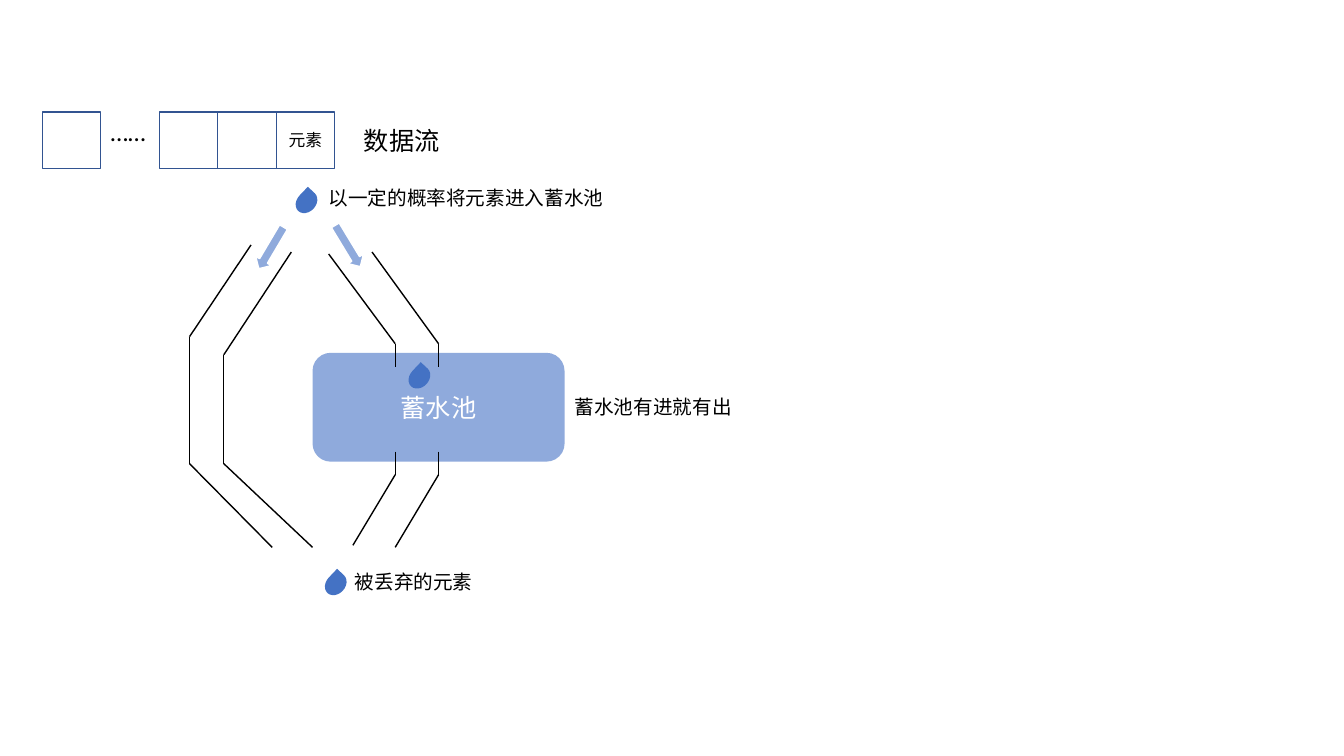
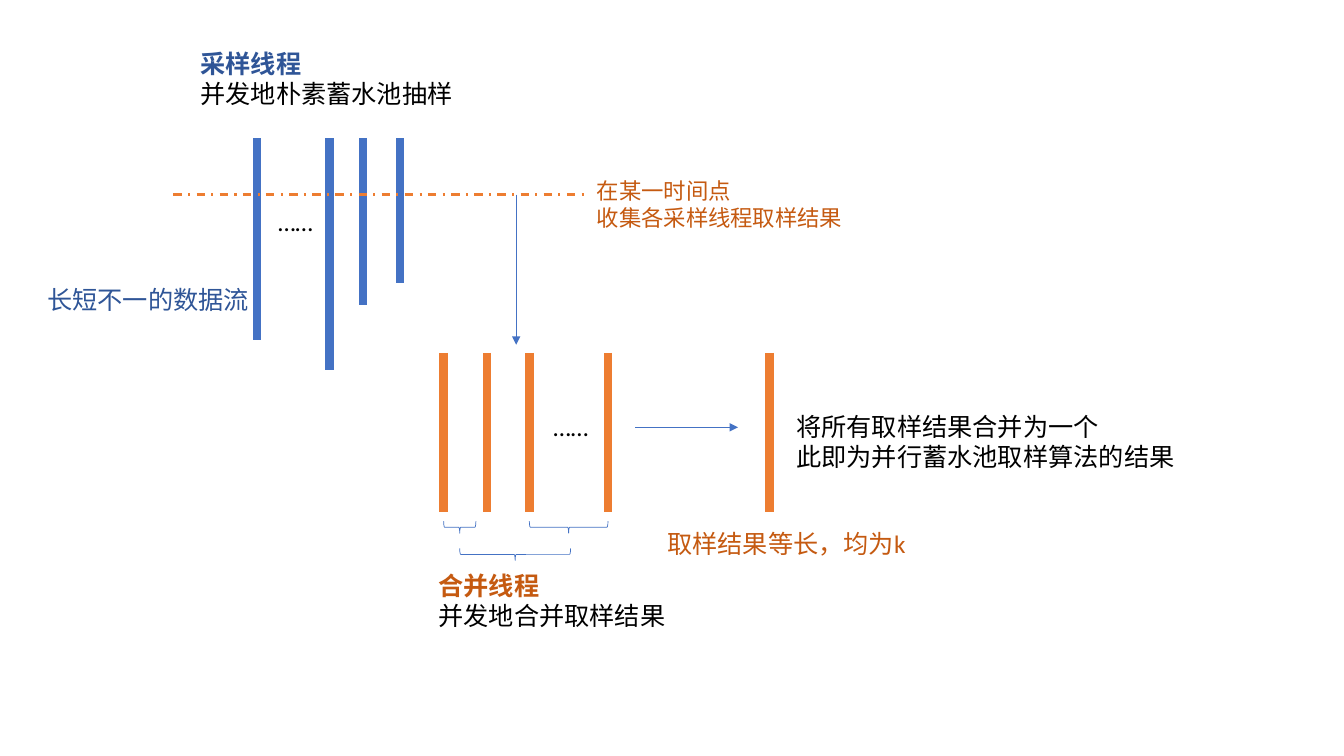
from dataclasses import dataclass
from itertools import pairwise

from lxml.etree import SubElement
from pptx import Presentation
from pptx.dml.color import RGBColor
from pptx.enum.dml import MSO_LINE_DASH_STYLE as Dash
from pptx.enum.shapes import MSO_CONNECTOR as Connector, MSO_SHAPE as Shape
from pptx.enum.text import MSO_ANCHOR as Anchor, MSO_AUTO_SIZE as AutoSize, PP_ALIGN as Align
from pptx.oxml.ns import qn
from pptx.util import Inches, Pt


@dataclass(frozen=True)
class Theme:
    font: str = "Calibri"
    black: str = "000000"
    white: str = "FFFFFF"
    blue: str = "4472C4"
    pale_blue: str = "8FAADC"
    cell_edge: str = "325491"
    dark_blue: str = "2F5597"
    orange: str = "ED7D31"
    dark_orange: str = "C55A11"
    heading: int = 18
    note: int = 16
    label: int = 14
    cell: int = 12
    bar: float = 6
    dashed: float = 1.5
    wall: float = 1
    thin: float = 0.5


@dataclass(frozen=True)
class Box:
    left: float
    top: float
    width: float
    height: float

    def inner(self, dx, dy, width, height):
        return Box(self.left + dx, self.top + dy, width, height)

    def point(self, dx, dy):
        return self.left + dx, self.top + dy

    def lengths(self):
        return [Inches(side) for side in (self.left, self.top, self.width, self.height)]


THEME = Theme()


# Shared parts
def write(frame, lines, size, color, align=Align.LEFT, heading_color=None):
    for index, line in enumerate(lines):
        paragraph = frame.add_paragraph() if index else frame.paragraphs[0]
        paragraph.text = line
        paragraph.alignment = align
        is_heading = heading_color is not None and index == 0
        font = paragraph.font
        font.name = THEME.font
        font.size = Pt(size)
        font.bold = is_heading
        font.color.rgb = RGBColor.from_string(heading_color if is_heading else color)


def add_text(slide, box, *lines, size=THEME.heading, color=THEME.black, heading_color=None):
    frame = slide.shapes.add_textbox(*box.lengths()).text_frame
    frame.word_wrap = True
    frame.auto_size = AutoSize.SHAPE_TO_FIT_TEXT
    write(frame, lines, size, color, heading_color=heading_color)


def add_figure(slide, kind, box, fill=None, edge=None, weight=THEME.wall, turn=0):
    figure = slide.shapes.add_shape(kind, *box.lengths())
    figure.shadow.inherit = False
    figure.rotation = turn
    for part, color in ((figure.fill, fill), (figure.line.fill, edge)):
        if color:
            part.solid()
            part.fore_color.rgb = RGBColor.from_string(color)
        else:
            part.background()
    if edge:
        figure.line.width = Pt(weight)
    return figure


def add_line(slide, start, end, color, weight, dash=None, arrow=False):
    ends = [Inches(length) for length in (*start, *end)]
    connector = slide.shapes.add_connector(Connector.STRAIGHT, *ends)
    line = connector.line
    line.color.rgb = RGBColor.from_string(color)
    line.width = Pt(weight)
    if dash:
        line.dash_style = dash
    properties = connector.element.spPr
    if arrow:
        SubElement(properties.find(qn("a:ln")), qn("a:tailEnd"), type="triangle")
    SubElement(properties, qn("a:effectLst"))


def add_bars(slide, box, bars, color):
    for dx, length in bars:
        add_line(slide, box.point(dx, 0), box.point(dx, length), color, THEME.bar)


def add_drop(slide, box, dx, dy):
    add_figure(slide, Shape.TEAR, box.inner(dx, dy, 0.24, 0.19), THEME.blue, turn=313.3)


# Reservoir slide
def data_stream(slide, box):
    side = 0.58
    for column, text in ((0, ""), (2, ""), (3, ""), (4, "元素")):
        cell = add_figure(slide, Shape.RECTANGLE, box.inner(column * side, 0, side, box.height),
                          THEME.white, THEME.cell_edge)
        if text:
            cell.text_frame.vertical_anchor = Anchor.MIDDLE
            write(cell.text_frame, [text], THEME.cell, THEME.black, Align.CENTER)
    add_text(slide, box.inner(side, 0, 0.73, 0.4), "……")
    add_text(slide, box.inner(3.09, 0.08, 1.15, 0.4), "数据流")


def entry_choice(slide, box):
    add_drop(slide, box, 0.32, 0.11)
    for dx, dy, turn in ((0, 0.42, 30.6), (0.76, 0.4, 328.8)):
        add_figure(slide, Shape.DOWN_ARROW, box.inner(dx, dy, 0.18, 0.48),
                   THEME.pale_blue, THEME.white, turn=turn)
    add_text(slide, box.inner(0.56, 0, 3.81, 0.34), "以一定的概率将元素进入蓄水池", size=THEME.label)


def reservoir(slide, box):
    pool = add_figure(slide, Shape.ROUNDED_RECTANGLE, box, THEME.pale_blue)
    pool.text_frame.vertical_anchor = Anchor.MIDDLE
    write(pool.text_frame, ["蓄水池"], THEME.heading, THEME.white, Align.CENTER)
    add_drop(slide, box, 0.94, 0.15)
    add_text(slide, box.inner(box.width, 0.37, 2.31, 0.34), "蓄水池有进就有出", size=THEME.label)


def pipes(slide, box):
    walls = (
        # Bypass
        ((0.61, 0), (0, 0.91), (0, 2.17), (0.82, 3)),
        ((1.01, 0.07), (0.34, 1.09), (0.34, 2.17), (1.22, 3)),
        # Inlet
        ((1.38, 0.09), (2.04, 0.98), (2.04, 1.21)),
        ((1.81, 0.07), (2.47, 0.98), (2.47, 1.21)),
        # Outlet
        ((2.04, 2.05), (2.04, 2.28), (1.62, 2.98)),
        ((2.47, 2.05), (2.47, 2.28), (2.04, 3)),
    )
    for wall in walls:
        for start, end in pairwise(wall):
            add_line(slide, box.point(*start), box.point(*end), THEME.black, THEME.wall)


def discarded(slide, box):
    add_drop(slide, box, 0, 0.09)
    add_text(slide, box.inner(0.21, 0, 2.18, 0.34), "被丢弃的元素", size=THEME.label)


def reservoir_slide(slide):
    data_stream(slide, Box(0.42, 1.11, 4.24, 0.56))
    entry_choice(slide, Box(2.6, 1.8, 4.37, 0.9))
    reservoir(slide, Box(3.1, 3.5, 2.5, 1.08))
    pipes(slide, Box(1.88, 2.43, 2.47, 3))
    discarded(slide, Box(3.21, 5.61, 2.39, 0.34))


# Parallel sampling slide
def sampling_threads(slide, box):
    add_text(slide, box.inner(1.52, 0, 3.77, 0.71), "采样线程", "并发地朴素蓄水池抽样",
             heading_color=THEME.dark_blue)
    streams = ((2.18, 2), (2.9, 2.3), (3.23, 1.66), (3.6, 1.44))
    add_bars(slide, box.inner(0, 0.94, box.width, 2.3), streams, THEME.blue)
    add_text(slide, box.inner(2.29, 1.57, 0.92, 0.31), "……")
    add_text(slide, box.inner(0, 2.34, 2.55, 0.4), "长短不一的数据流", color=THEME.dark_blue)


def collection_moment(slide, box):
    dash_y = 0.22
    add_line(slide, box.point(0, dash_y), box.point(4.1, dash_y), THEME.orange,
             THEME.dashed, Dash.DASH_DOT)
    add_line(slide, box.point(3.4, dash_y), box.point(3.4, box.height), THEME.blue,
             THEME.thin, arrow=True)
    add_text(slide, box.inner(4.1, 0, 2.75, 0.64), "在某一时间点\v收集各采样线程取样结果",
             size=THEME.note, color=THEME.dark_orange)


def merging_threads(slide, box):
    samples = [(dx, 1.58) for dx in (0.15, 0.58, 1, 1.78)]
    add_bars(slide, box, samples, THEME.orange)
    add_text(slide, box.inner(1.14, 0.53, 1.39, 0.4), "……")
    depth = 0.12
    for center_x, center_y, span in ((0.31, 1.73, 0.32), (1.39, 1.73, 0.78), (0.86, 2, 1.1)):
        brace = box.inner(center_x - depth / 2, center_y - span / 2, depth, span)
        add_figure(slide, Shape.LEFT_BRACE, brace, edge=THEME.blue, weight=THEME.thin, turn=270)
    add_text(slide, box.inner(0, 2.11, 2.82, 0.71), "合并线程", "并发地合并取样结果",
             heading_color=THEME.dark_orange)


def merged_result(slide, box):
    add_line(slide, box.point(0, 0.74), box.point(1.02, 0.74), THEME.blue,
             THEME.thin, arrow=True)
    add_bars(slide, box, [(1.33, 1.58)], THEME.orange)
    add_text(slide, box.inner(1.5, 0.53, 4.2, 0.71), "将所有取样结果合并为一个",
             "此即为并行蓄水池取样算法的结果")
    add_text(slide, box.inner(0.22, 1.69, 2.59, 0.4), "取样结果等长，均为k",
             color=THEME.dark_orange)


def parallel_slide(slide):
    sampling_threads(slide, Box(0.37, 0.43, 5.29, 3.24))
    collection_moment(slide, Box(1.72, 1.71, 6.85, 1.71))
    merging_threads(slide, Box(4.25, 3.5, 2.82, 2.82))
    merged_result(slide, Box(6.3, 3.5, 5.7, 2.09))


# Presentation
deck = Presentation()
deck.slide_width = Inches(13.33)
deck.slide_height = Inches(7.5)
blank_layout = deck.slide_layouts[6]
for fill_slide in (reservoir_slide, parallel_slide):
    fill_slide(deck.slides.add_slide(blank_layout))
deck.save("out.pptx")
